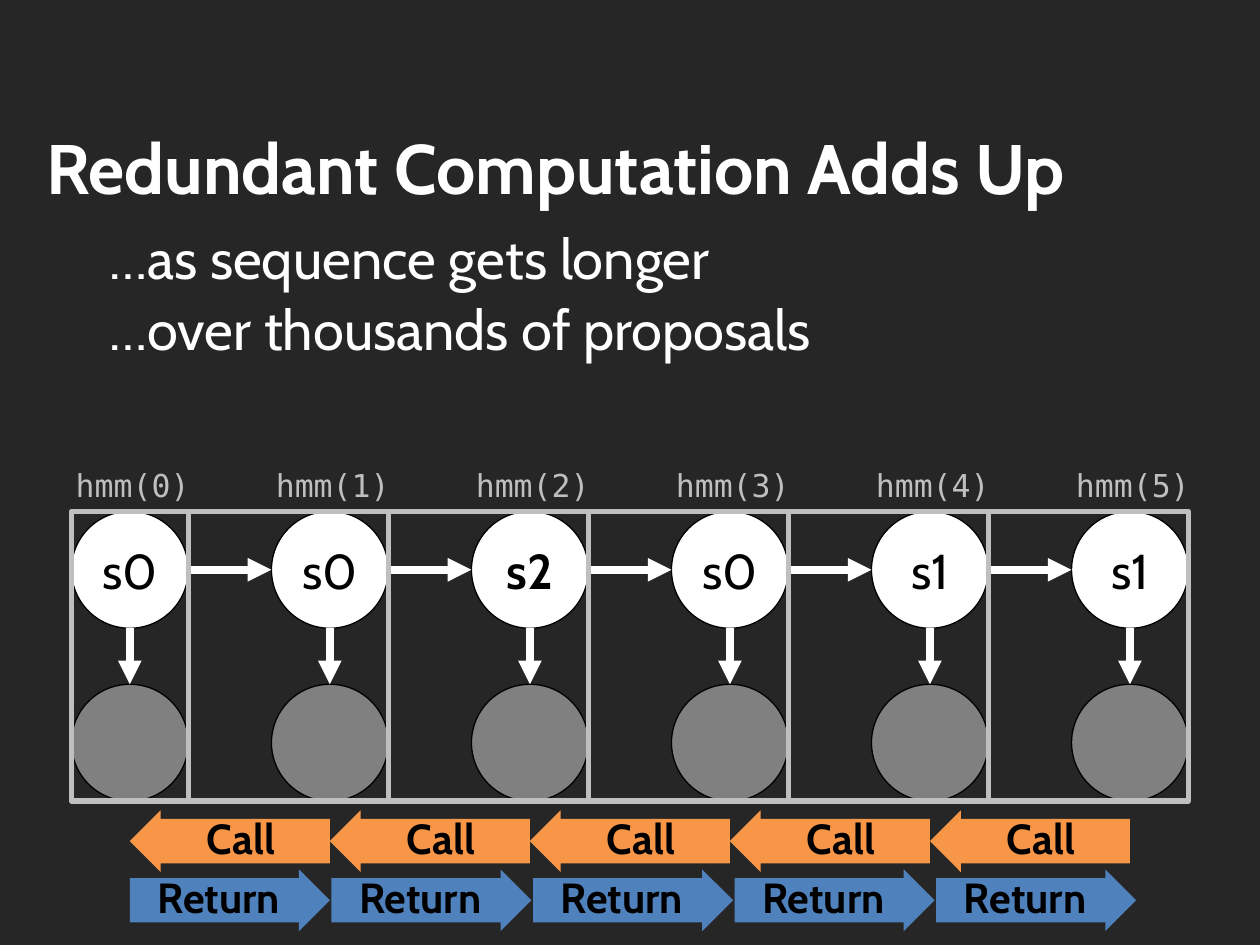
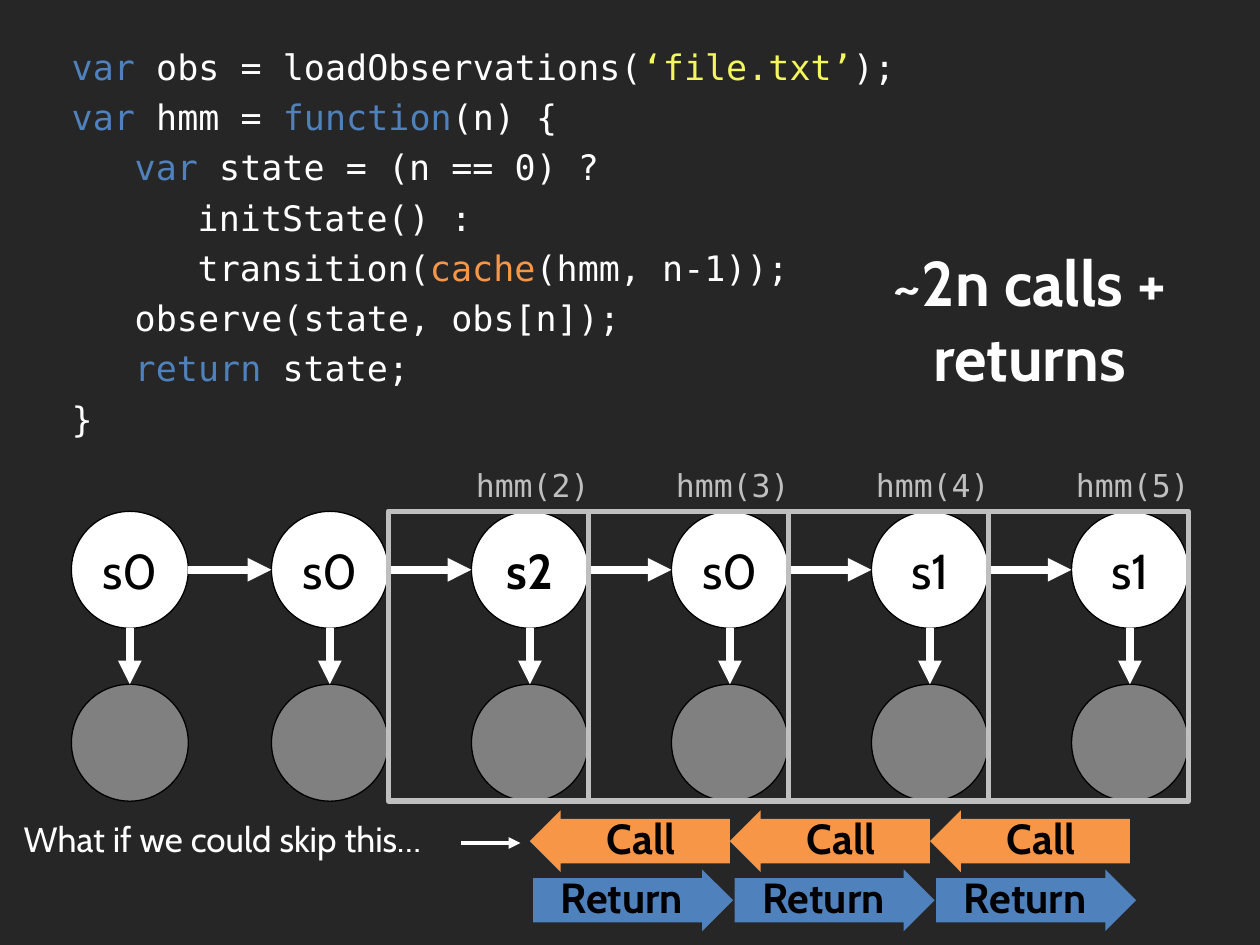
from lxml import etree
from pptx import Presentation
from pptx.dml.color import RGBColor
from pptx.enum.shapes import MSO_CONNECTOR, MSO_SHAPE
from pptx.enum.text import MSO_ANCHOR, MSO_AUTO_SIZE, PP_ALIGN
from pptx.oxml.ns import qn
from pptx.util import Pt

ELLIPSE, RECTANGLE = MSO_SHAPE.OVAL, MSO_SHAPE.RECTANGLE
LEFT_ARROW, RIGHT_ARROW = MSO_SHAPE.LEFT_ARROW, MSO_SHAPE.RIGHT_ARROW
STRAIGHT = MSO_CONNECTOR.STRAIGHT
TOP, MIDDLE = MSO_ANCHOR.TOP, MSO_ANCHOR.MIDDLE
LEFT, CENTER = PP_ALIGN.LEFT, PP_ALIGN.CENTER
NO_AUTOFIT = MSO_AUTO_SIZE.NONE

COLORS = {
    "background": "262626", "white": "FFFFFF", "black": "000000",
    "observed": "808080", "frame": "BFBFBF", "call": "F79646",
    "keyword": "4F81BD", "string": "F3F65C",
}
SANS, MONO = "Cabin", "DejaVu Sans Mono"

# Text formats
TITLE = {"name": SANS, "size": Pt(40), "bold": True}
CLAIM = {"name": SANS, "size": Pt(36), "bold": True}
BODY = {"name": SANS, "size": Pt(32), "bold": False}
NOTE = {"name": SANS, "size": Pt(20), "bold": False}
STATE = {"name": SANS, "size": Pt(28), "bold": False}
SAMPLED = {**STATE, "bold": True}
ARROW = {"name": SANS, "size": Pt(24), "bold": True}
CODE = {"name": MONO, "size": Pt(20), "bold": False}
LABEL = {"name": MONO, "size": Pt(18), "bold": False}

# Grid of the state chain, in points
STATES = ["s0", "s0", "s2", "s0", "s1", "s1"]
PITCH, DIAMETER = 114.3, 66.8
CENTERS = [74.2 + PITCH * index for index in range(len(STATES))]
RADIUS = DIAMETER / 2
STATE_TOP, OBSERVED_TOP = 292.2, 391
CHAIN_BOTTOM = OBSERVED_TOP + DIAMETER
RETURN_PITCH = 115.2
INDENT = 36


class Deck:
    """Holds the shared style and the slide being drawn."""

    def __init__(self):
        self.presentation = Presentation()
        self.presentation.slide_width = Pt(720)
        self.presentation.slide_height = Pt(540)
        background = self.presentation.slide_master.background.fill
        background.solid()
        background.fore_color.rgb = self.color("background")
        self.slide = None

    @staticmethod
    def color(name):
        return RGBColor.from_string(COLORS[name])

    def new_slide(self):
        layout = self.presentation.slide_layouts[1]
        self.slide = self.presentation.slides.add_slide(layout)

    def add_runs(self, paragraph, runs, style, align):
        """Fill a paragraph with (text, color) runs."""
        paragraph.alignment = align
        for text, color in runs:
            run = paragraph.add_run()
            run.text = text
            for attribute, value in style.items():
                setattr(run.font, attribute, value)
            run.font.color.rgb = self.color(color)

    def prepare(self, shape, anchor=TOP, wrap=True, **margins):
        frame = shape.text_frame
        settings = {"word_wrap": wrap, "auto_size": NO_AUTOFIT,
                    "vertical_anchor": anchor, **margins}
        for attribute, value in settings.items():
            setattr(frame, attribute, value)
        return frame

    def place(self, shape, box):
        for side, value in zip(("left", "top", "width", "height"), box):
            setattr(shape, side, Pt(value))

    def title(self, text, box, style, align=LEFT):
        shape = self.slide.shapes.title
        self.place(shape, box)
        frame = self.prepare(shape)
        self.add_runs(frame.paragraphs[0], [(text, "white")], style, align)

    def body(self, lines, box, style, space):
        """Fill the body with (indent level, runs) lines, without bullets."""
        shape = self.slide.placeholders[1]
        self.place(shape, box)
        frame = self.prepare(shape)
        for index, (level, runs) in enumerate(lines):
            paragraph = frame.add_paragraph() if index else frame.paragraphs[0]
            self.add_runs(paragraph, runs, style, LEFT)
            paragraph.space_before = Pt(space)
            properties = paragraph._p.get_or_add_pPr()
            properties.set("marL", str(Pt(INDENT * level)))
            properties.set("indent", "0")
            etree.SubElement(properties, qn("a:buNone"))

    def text(self, text, box, style, color="white", align=LEFT):
        shape = self.slide.shapes.add_textbox(*map(Pt, box))
        frame = self.prepare(shape)
        self.add_runs(frame.paragraphs[0], [(text, color)], style, align)

    def shape(self, kind, box, fill=None, line=None, width=0.75,
              text="", style=None, raise_by=0):
        shape = self.slide.shapes.add_shape(kind, *map(Pt, box))
        shape.shadow.inherit = False
        for part, color in ((shape.fill, fill), (shape.line.fill, line)):
            if color:
                part.solid()
                part.fore_color.rgb = self.color(color)
            else:
                part.background()
        if line:
            shape.line.width = Pt(width)
        if text:
            frame = self.prepare(shape, MIDDLE, False, margin_left=0, margin_right=0,
                                 margin_top=0, margin_bottom=Pt(raise_by))
            self.add_runs(frame.paragraphs[0], [(text, "black")], style, CENTER)
        return shape

    def arrow(self, start, end, width=4.5):
        connector = self.slide.shapes.add_connector(STRAIGHT, *map(Pt, start + end))
        connector.line.color.rgb = self.color("white")
        connector.line.width = Pt(width)
        properties = connector._element.spPr
        etree.SubElement(properties.find(qn("a:ln")), qn("a:tailEnd"), type="triangle")
        etree.SubElement(properties, qn("a:effectLst"))

    def block_arrow(self, kind, left, top, fill, text):
        shape = self.shape(kind, (left, top, PITCH, 35.3), fill,
                           text=text, style=ARROW, raise_by=3.6)
        shape.adjustments[0] = 0.72

    def chain(self, first):
        """Draw all states, with frames and calls from index first on."""
        # States, observations and the arrows between them
        for index, (state, center) in enumerate(zip(STATES, CENTERS)):
            left = center - RADIUS
            self.shape(ELLIPSE, (left, STATE_TOP, DIAMETER, DIAMETER), "white", "black",
                       text=state, style=SAMPLED if state == "s2" else STATE)
            self.shape(ELLIPSE, (left, OBSERVED_TOP, DIAMETER, DIAMETER),
                       "observed", "black")
            self.arrow((center, STATE_TOP + DIAMETER), (center, OBSERVED_TOP))
            if index:
                middle = STATE_TOP + RADIUS
                self.arrow((left - PITCH + DIAMETER, middle), (left, middle))

        # Call frames and their labels
        for index in range(first, len(STATES)):
            center = CENTERS[index]
            width = PITCH if index else DIAMETER
            self.shape(RECTANGLE, (center + RADIUS - width, STATE_TOP, width,
                                   CHAIN_BOTTOM - STATE_TOP), line="frame", width=3)
            self.text(f"hmm({index})", (center - 47.4, 263, 98, 29), LABEL,
                      "frame", CENTER)

        # Calls run back, returns run forward
        for index in range(first, len(STATES) - 1):
            self.block_arrow(LEFT_ARROW, CENTERS[index], 463, "call", "Call")
            self.block_arrow(RIGHT_ARROW, CENTERS[0] + RETURN_PITCH * index, 496.8,
                             "keyword", "Return")


CODE_LINES = [
    (0, [("var ", "keyword"), ("obs = loadObservations(", "white"),
         ("‘file.txt’", "string"), (");", "white")]),
    (0, [("var ", "keyword"), ("hmm = ", "white"), ("function", "keyword"),
         ("(n) {", "white")]),
    (1, [("var ", "keyword"), ("state = (n == 0) ?", "white")]),
    (2, [("initState() :", "white")]),
    (2, [("transition(", "white"), ("cache", "call"), ("(hmm, n-1));", "white")]),
    (1, [("observe(state, obs[n]);", "white")]),
    (1, [("return ", "keyword"), ("state;", "white")]),
    (0, [("}", "white")]),
]


def main():
    deck = Deck()

    # Slide 1: every call is repeated
    deck.new_slide()
    deck.title("Redundant Computation Adds Up", (19.4, 67.7, 680, 56), TITLE)
    deck.body([(0, [("…as sequence gets longer", "white")]),
               (0, [("…over thousands of proposals", "white")])],
              (55.4, 124, 640, 90), BODY, space=2)
    deck.chain(first=0)

    # Slide 2: cached calls
    deck.new_slide()
    deck.title("~2n calls + returns", (485.3, 135.4, 206, 94.3), CLAIM, CENTER)
    deck.body(CODE_LINES, (33.8, 22.3, 524, 248), CODE, space=4.7)
    deck.chain(first=2)
    deck.text("What if we could skip this…", (6.4, 463.7, 262, 31.7), NOTE)
    deck.arrow((263.5, 481.7), (297.4, 481.7), 2.25)

    deck.presentation.save("out.pptx")


if __name__ == "__main__":
    main()
